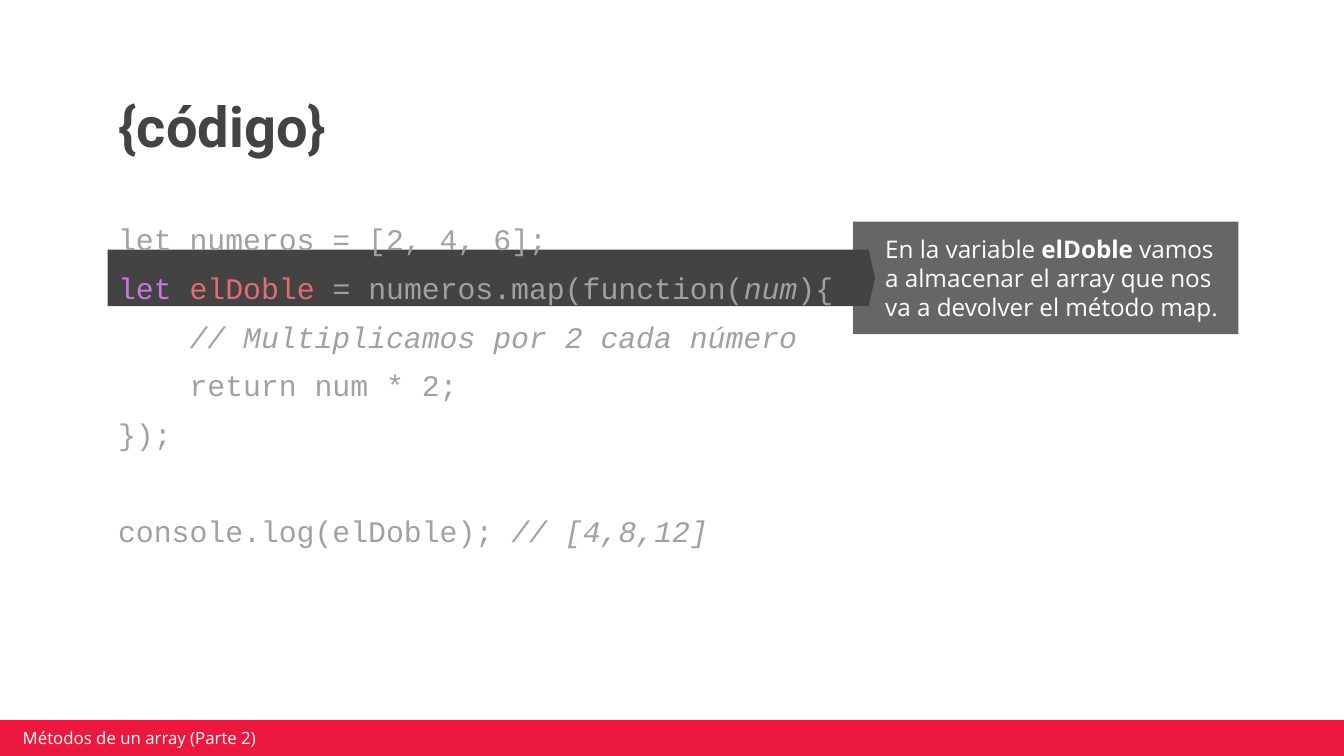
from pptx import Presentation
from pptx.dml.color import RGBColor
from pptx.enum import shapes, text
from pptx.util import Pt

COLORS = {
    "ink": "434343", "callout": "666666", "band": "EC183F", "white": "FFFFFF",
    "code": "A0A1A7", "keyword": "C678DD", "variable": "E06C75",
}
CODE_SIZE = 16
CODE_SPACING = 1.36
BLANK_LINE = 25.7

# Each line is a list of runs: text, colour, italic
CODE_LINES = [
    [("let numeros = [2, 4, 6];", "code", False)],
    [("let ", "keyword", False), ("elDoble", "variable", False),
     (" = numeros.map(function(", "code", False), ("num", "code", True),
     ("){", "code", False)],
    [("    ", "code", False),
     ("// Multiplicamos por 2 cada número", "code", True)],
    [("    return num * 2;", "code", False)],
    [("});", "code", False)],
    [("console.log(elDoble); ", "code", False), ("// [4,8,12]", "code", True)],
]


def rgb(name):
    return RGBColor.from_string(COLORS[name])


def add_run(paragraph, words, font, size, color, bold=False, italic=False):
    run = paragraph.add_run()
    run.text = words
    run.font.name, run.font.size = font, Pt(size)
    run.font.bold, run.font.italic = bold, italic
    run.font.color.rgb = rgb(color)


def set_frame(frame, anchor, insets):
    frame.word_wrap = True
    frame.auto_size = text.MSO_AUTO_SIZE.NONE
    frame.vertical_anchor = anchor
    (frame.margin_left, frame.margin_top,
     frame.margin_right, frame.margin_bottom) = map(Pt, insets)


def add_block(slide, kind, box, color):
    block = slide.shapes.add_shape(kind, *map(Pt, box))
    block.shadow.inherit = False
    block.fill.solid()
    block.fill.fore_color.rgb = rgb(color)
    block.line.fill.background()
    return block


def add_callout(slide, box):
    callout = add_block(slide, shapes.MSO_SHAPE.RECTANGLE, box, "callout")
    # The left inset includes the paragraph's indent
    set_frame(callout.text_frame, text.MSO_ANCHOR.MIDDLE, (17.2, 0, 7.2, 0))
    paragraph = callout.text_frame.paragraphs[0]
    paragraph.alignment = text.PP_ALIGN.LEFT
    for words, bold in (
        ("En la variable ", False), ("elDoble", True),
        (" vamos a almacenar el array que nos va a devolver el método map.", False),
    ):
        add_run(paragraph, words, "Open Sans", 13, "white", bold=bold)


def add_highlight(slide, box):
    arrow = add_block(slide, shapes.MSO_SHAPE.RIGHT_ARROW, box, "ink")
    arrow.adjustments[0] = 1
    arrow.adjustments[1] = 0.11


def place_title(slide, box):
    title = slide.shapes.title
    title.left, title.top, title.width, title.height = map(Pt, box)
    set_frame(title.text_frame, text.MSO_ANCHOR.BOTTOM, (7.2,) * 4)
    paragraph = title.text_frame.paragraphs[0]
    paragraph.alignment = text.PP_ALIGN.LEFT
    paragraph.line_spacing = 0.9
    add_run(paragraph, "{código}", "Roboto", 30, "ink", bold=True)


def add_code(slide, box):
    frame = slide.shapes.add_textbox(*map(Pt, box)).text_frame
    set_frame(frame, text.MSO_ANCHOR.TOP, (7.2, 18.7, 7.2, 7.2))
    for index, line in enumerate(CODE_LINES):
        paragraph = frame.add_paragraph() if index else frame.paragraphs[0]
        paragraph.line_spacing = CODE_SPACING
        for words, color, italic in line:
            add_run(paragraph, words, "Courier New", CODE_SIZE, color, italic=italic)
    # The call to console.log stands one line apart
    paragraph.space_before = Pt(BLANK_LINE)


def add_footer(slide, box):
    left, top, width, height = box
    add_block(slide, shapes.MSO_SHAPE.RECTANGLE, box, "band")
    label = slide.shapes.add_textbox(
        Pt(left + 10), Pt(top + 4.3), Pt(172), Pt(10.8))
    set_frame(label.text_frame, text.MSO_ANCHOR.MIDDLE, (3.6, 1.4, 3.6, 1.4))
    add_run(label.text_frame.paragraphs[0], "Métodos de un array (Parte 2)",
            "Open Sans", 9, "white")


def main():
    deck = Presentation()
    deck.slide_width, deck.slide_height = Pt(720), Pt(405)
    slide = deck.slides.add_slide(deck.slide_layouts[5])
    place_title(slide, (56.2, 43.2, 607, 49.7))
    add_callout(slide, (457, 118.7, 206.5, 60.3))
    add_highlight(slide, (57.7, 133.8, 411, 30.2))
    add_code(slide, (56.2, 92.9, 400.3, 293))
    add_footer(slide, (-1.4, 385.8, 722.2, 19.4))
    deck.save("out.pptx")


if __name__ == "__main__":
    main()
